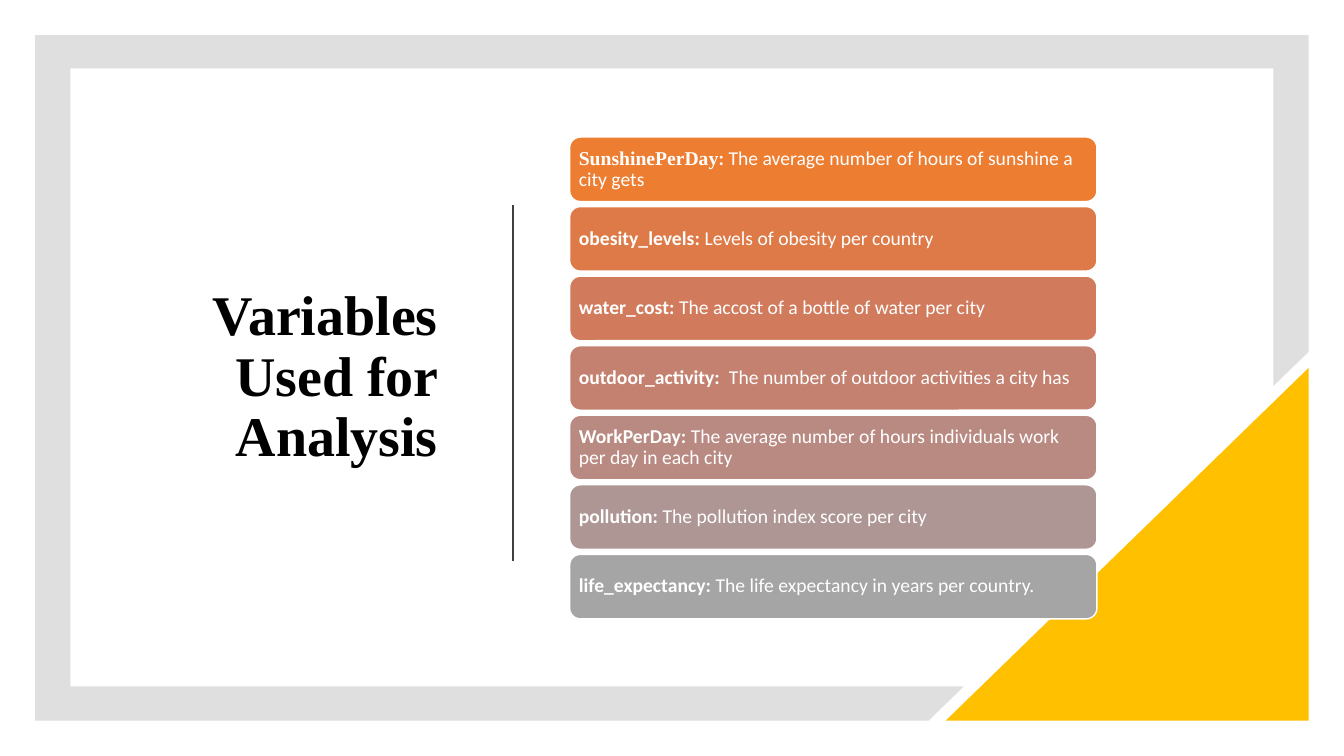
from lxml import etree
from pptx import Presentation
from pptx.dml.color import RGBColor
from pptx.enum.shapes import MSO_CONNECTOR, MSO_SHAPE
from pptx.enum.text import MSO_ANCHOR, PP_ALIGN
from pptx.oxml.ns import qn
from pptx.util import Inches, Pt

STRAIGHT = MSO_CONNECTOR.STRAIGHT
ROUNDED, TRIANGLE = MSO_SHAPE.ROUNDED_RECTANGLE, MSO_SHAPE.RIGHT_TRIANGLE
MIDDLE = MSO_ANCHOR.MIDDLE
LEFT, RIGHT = PP_ALIGN.LEFT, PP_ALIGN.RIGHT

WHITE = RGBColor(0xFF, 0xFF, 0xFF)
BLACK = RGBColor(0x00, 0x00, 0x00)
GRAY = RGBColor(0x80, 0x80, 0x80)
DARK = RGBColor(0x40, 0x40, 0x40)
GOLD = RGBColor(0xFF, 0xC0, 0x00)
SERIF, SANS = "Times New Roman", "Calibri"

TITLE = "Variables Used for Analysis"
# Each variable: bar colour, then (text, bold, font) runs
VARIABLES = [
    ("ED7D31", [("SunshinePerDay", True, SERIF), (": ", True, SANS),
                ("The average number of hours of sunshine a city gets", False, SANS)]),
    ("DE7A47", [("obesity_levels: ", True, SANS),
                ("Levels of obesity per country", False, SANS)]),
    ("D17B5C", [("water_cost: ", True, SANS),
                ("The accost of a bottle of water per city", False, SANS)]),
    ("C48170", [("outdoor_activity: ", True, SANS),
                (" The number of outdoor activities a city has", False, SANS)]),
    ("B98A82", [("WorkPerDay: ", True, SANS),
                ("The average number of hours individuals work per day in each city",
                 False, SANS)]),
    ("AE9694", [("pollution: ", True, SANS),
                ("The pollution index score per city", False, SANS)]),
    ("A5A5A5", [("life_expectancy: ", True, SANS),
                ("The life expectancy in years per country.", False, SANS)]),
]
FRAME = [(0.35, 0.35), (12.98, 0.35), (12.98, 3.49), (12.63, 3.83), (12.63, 0.68),
         (0.7, 0.68), (0.7, 6.81), (9.56, 6.81), (9.21, 7.15), (0.35, 7.15)]
BAR_LEFT, BAR_TOP, BAR_WIDTH, BAR_HEIGHT, BAR_GAP = 5.65, 1.36, 5.23, 0.64, 0.05


def paint(shape, fill, line=None):
    """Give a shape a flat fill, an optional thin line and no shadow."""
    shape.shadow.inherit = False
    shape.fill.solid()
    shape.fill.fore_color.rgb = fill
    if line is None:
        shape.line.fill.background()
    else:
        shape.line.color.rgb = line
        shape.line.width = Pt(1)


def write(shape, runs, size, color, align, inset=None):
    """Write one vertically centred paragraph of (text, bold, font) runs."""
    tf = shape.text_frame
    tf.word_wrap = True
    tf.vertical_anchor = MIDDLE
    if inset is not None:
        for side in ("left", "top", "right", "bottom"):
            setattr(tf, f"margin_{side}", Inches(inset))
    p = tf.paragraphs[0]
    p.alignment = align
    p.line_spacing = 0.9
    for text, bold, font in runs:
        r = p.add_run()
        r.text = text
        for name, value in {"size": Pt(size), "bold": bold, "name": font}.items():
            setattr(r.font, name, value)
        r.font.color.rgb = color


prs = Presentation()
prs.slide_width, prs.slide_height = Inches(13.33), Inches(7.5)
s = prs.slides.add_slide(prs.slide_layouts[6])

points = [(Inches(x), Inches(y)) for x, y in FRAME]
builder = s.shapes.build_freeform(*points[0])
builder.add_line_segments(points[1:], close=True)
frame = builder.convert_to_shape()
paint(frame, GRAY)
frame_color = frame._element.spPr.find(qn("a:solidFill"))[0]
etree.SubElement(frame_color, qn("a:alpha")).set("val", "25000")

corner = s.shapes.add_shape(TRIANGLE, Inches(9.38), Inches(3.65), Inches(3.6), Inches(3.5))
paint(corner, GOLD)
corner._element.spPr.find(qn("a:xfrm")).set("flipH", "1")

title = s.shapes.add_textbox(Inches(1.1), Inches(1.3), Inches(3.34), Inches(4.9))
write(title, [(TITLE, True, SERIF)], 40, BLACK, RIGHT)
title.text_frame.paragraphs[0].space_after = Pt(6)

divider = s.shapes.add_connector(STRAIGHT, Inches(5.09), Inches(2.03),
                                 Inches(5.09), Inches(5.57))
divider.line.color.rgb = DARK
divider.line.width = Pt(1.5)
etree.SubElement(divider._element.spPr, qn("a:effectLst"))

for i, (color, runs) in enumerate(VARIABLES):
    top = BAR_TOP + i * (BAR_HEIGHT + BAR_GAP)
    bar = s.shapes.add_shape(ROUNDED, Inches(BAR_LEFT), Inches(top),
                             Inches(BAR_WIDTH), Inches(BAR_HEIGHT))
    paint(bar, RGBColor.from_string(color), WHITE)
    write(bar, runs, 14, WHITE, LEFT, 0.06)

prs.save("out.pptx")
